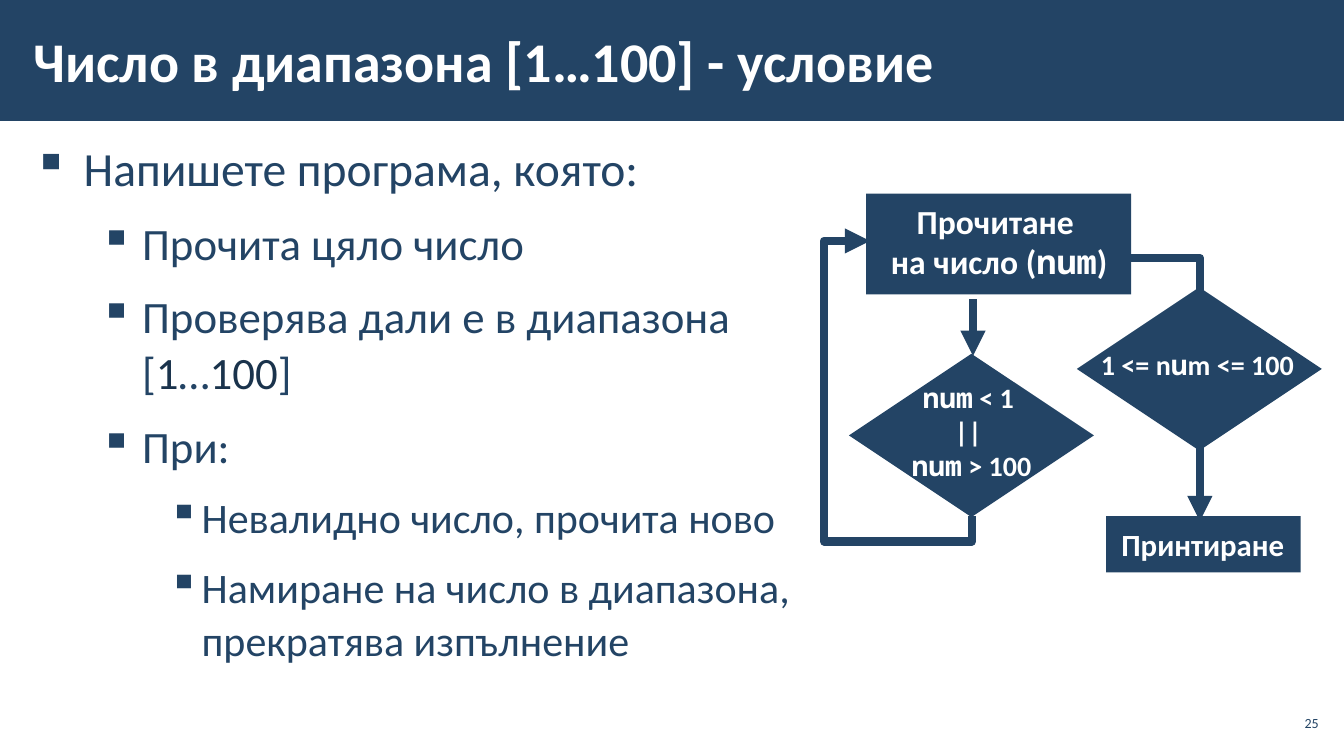
from dataclasses import dataclass

from lxml import etree
from pptx import Presentation
from pptx.dml.color import RGBColor
from pptx.enum.shapes import MSO_CONNECTOR, MSO_SHAPE
from pptx.enum.text import MSO_ANCHOR, PP_ALIGN
from pptx.oxml.ns import qn
from pptx.util import Inches, Pt

NAVY, DARK, WHITE = "234465", "1A334C", "FFFFFF"
SANS, MONO = "Calibri", "Noto Sans Mono"


@dataclass
class Run:
    text: str
    font: str = SANS
    color: str = ""


@dataclass
class Style:
    size: float
    color: str = NAVY
    bold: bool = False
    align: PP_ALIGN = PP_ALIGN.LEFT


@dataclass
class Node:
    shape: MSO_SHAPE
    box: tuple[float, float, float, float]
    label_box: tuple[float, float, float, float]
    size: float
    runs: list[Run]


@dataclass
class Bullet:
    level: int
    runs: list[Run]


@dataclass
class Arrow:
    """Start and end before rotation; adjustments are in 1/100000 of the box."""
    start: tuple[float, float]
    end: tuple[float, float]
    preset: str = "line"
    rotation: int = 0
    adjustments: tuple[int, ...] = ()


def rgb(value: str) -> RGBColor:
    return RGBColor.from_string(value)


def add_block(shapes, kind: MSO_SHAPE, box: tuple) -> None:
    block = shapes.add_shape(kind, *map(Inches, box))
    block.shadow.inherit = False
    block.fill.solid()
    block.fill.fore_color.rgb = rgb(NAVY)
    block.line.fill.background()


def add_frame(shapes, box: tuple, insets: tuple = (0.1, 0.05), anchor=MSO_ANCHOR.TOP):
    frame = shapes.add_textbox(*map(Inches, box)).text_frame
    frame.word_wrap = True
    frame.vertical_anchor = anchor
    frame.margin_left = frame.margin_right = Inches(insets[0])
    frame.margin_top = frame.margin_bottom = Inches(insets[1])
    return frame


def write(paragraph, runs: list[Run], style: Style) -> None:
    paragraph.alignment = style.align
    paragraph.font.size = Pt(style.size)
    for part in runs:
        for i, line in enumerate(part.text.split("\n")):
            if i:
                paragraph.add_line_break()
            if not line:
                continue
            run = paragraph.add_run()
            run.text = line
            run.font.name = part.font
            run.font.size = Pt(style.size)
            run.font.bold = style.bold
            run.font.color.rgb = rgb(part.color or style.color)


def add_bullet(paragraph, bullet: Bullet) -> None:
    size, left, hanging = BULLET_LEVELS[bullet.level]
    paragraph.level = bullet.level
    paragraph.line_spacing = 1.05
    paragraph.space_before = paragraph.space_after = Pt(6)
    write(paragraph, bullet.runs, Style(size))
    props = paragraph._p.get_or_add_pPr()
    props.set("marL", str(Inches(left)))
    props.set("indent", str(-Inches(hanging)))
    etree.SubElement(props, qn("a:buChar")).set("char", "▪")
    # Default run properties must follow the bullet
    default = props.find(qn("a:defRPr"))
    if default is not None:
        props.append(default)


def add_arrow(shapes, arrow: Arrow) -> None:
    kind = MSO_CONNECTOR.STRAIGHT if arrow.preset == "line" else MSO_CONNECTOR.ELBOW
    connector = shapes.add_connector(kind, *map(Inches, arrow.start + arrow.end))
    connector.line.color.rgb = rgb(NAVY)
    connector.line.width = Pt(6)
    line = connector.line._get_or_add_ln()
    etree.SubElement(line, qn("a:round"))
    etree.SubElement(line, qn("a:tailEnd")).set("type", "triangle")
    props = connector._element.spPr
    etree.SubElement(props, qn("a:effectLst"))
    if arrow.rotation:
        props.find(qn("a:xfrm")).set("rot", str(arrow.rotation * 60000))
    geometry = props.find(qn("a:prstGeom"))
    geometry.set("prst", arrow.preset)
    guides = geometry.find(qn("a:avLst"))
    if guides is None:
        guides = etree.SubElement(geometry, qn("a:avLst"))
    for i, value in enumerate(arrow.adjustments, 1):
        guide = etree.SubElement(guides, qn("a:gd"))
        guide.set("name", f"adj{i}")
        guide.set("fmla", f"val {value}")


# Level: text size, left margin, hanging indent
BULLET_LEVELS = [(34, 0.5, 0.5), (32, 1.08, 0.42), (30, 1.67, 0.33)]
BULLETS = [
    Bullet(0, [Run("Напишете програма, която:")]),
    Bullet(1, [Run("Прочита цяло число")]),
    Bullet(1, [Run("Проверява дали е в диапазона\n["), Run("1", color=DARK), Run("…"),
               Run("100", color=DARK), Run("]")]),
    Bullet(1, [Run("При:")]),
    Bullet(2, [Run("Невалидно число, прочита ново")]),
    Bullet(2, [Run("Намиране на число в диапазона,\nпрекратява изпълнение")]),
]

NODES = [
    Node(MSO_SHAPE.RECTANGLE, (8.59, 1.92, 2.63, 1), (8.63, 1.94, 2.56, 0.91), 24,
         [Run("Прочитане \nна число ("), Run("num", MONO), Run(")")]),
    Node(MSO_SHAPE.FLOWCHART_DECISION, (8.42, 3.51, 2.43, 1.62), (8.54, 3.73, 2.19, 1.11), 20,
         [Run("num", MONO), Run(" < 1 \n|| \n"), Run("num", MONO), Run(" > 100")]),
    Node(MSO_SHAPE.FLOWCHART_DECISION, (10.68, 2.85, 2.43, 1.62), (10.63, 3.4, 2.43, 0.44), 20,
         [Run(" 1 <= n"), Run("u", MONO), Run("m <= 100")]),
    Node(MSO_SHAPE.RECTANGLE, (10.97, 5.12, 1.93, 0.56), (10.91, 5.17, 2.04, 0.47), 22,
         [Run("Принтиране")]),
]

ARROWS = [
    Arrow((9.65, 2.97), (9.65, 3.53)),
    Arrow((12.81, 3.47), (10.2, 4.26), "bentConnector3", 270, (0,)),
    Arrow((10.5, 3.25), (7.77, 4.26), "bentConnector4", 90, (-9200, 145200)),
]

prs = Presentation()
prs.slide_width, prs.slide_height = Inches(13.33), Inches(7.5)
slide = prs.slides.add_slide(prs.slide_layouts[6])
shapes = slide.shapes

# Title bar
add_block(shapes, MSO_SHAPE.RECTANGLE, (0, 0, 13.33, 1.2))
title = add_frame(shapes, (0.21, 0.11, 10.39, 0.97), (0.12, 0.04), MSO_ANCHOR.MIDDLE)
write(title.paragraphs[0], [Run("Число в диапазона [1…100] - условие")], Style(40, WHITE, True))

# Task description
body = add_frame(shapes, (0.21, 1.31, 12.92, 5.69), (0.12, 0.04))
for i, item in enumerate(BULLETS):
    add_bullet(body.add_paragraph() if i else body.paragraphs[0], item)

# Flowchart: blocks, arrows, then labels on top
for node in NODES:
    add_block(shapes, node.shape, node.box)
for arrow in ARROWS:
    add_arrow(shapes, arrow)
for node in NODES:
    label = add_frame(shapes, node.label_box)
    write(label.paragraphs[0], node.runs, Style(node.size, WHITE, True, PP_ALIGN.CENTER))

# Slide number
number = add_frame(shapes, (12.65, 7, 0.47, 0.34), (0.04, 0.04), MSO_ANCHOR.MIDDLE)
write(number.paragraphs[0], [Run("25")], Style(10, align=PP_ALIGN.RIGHT))

prs.save("out.pptx")
